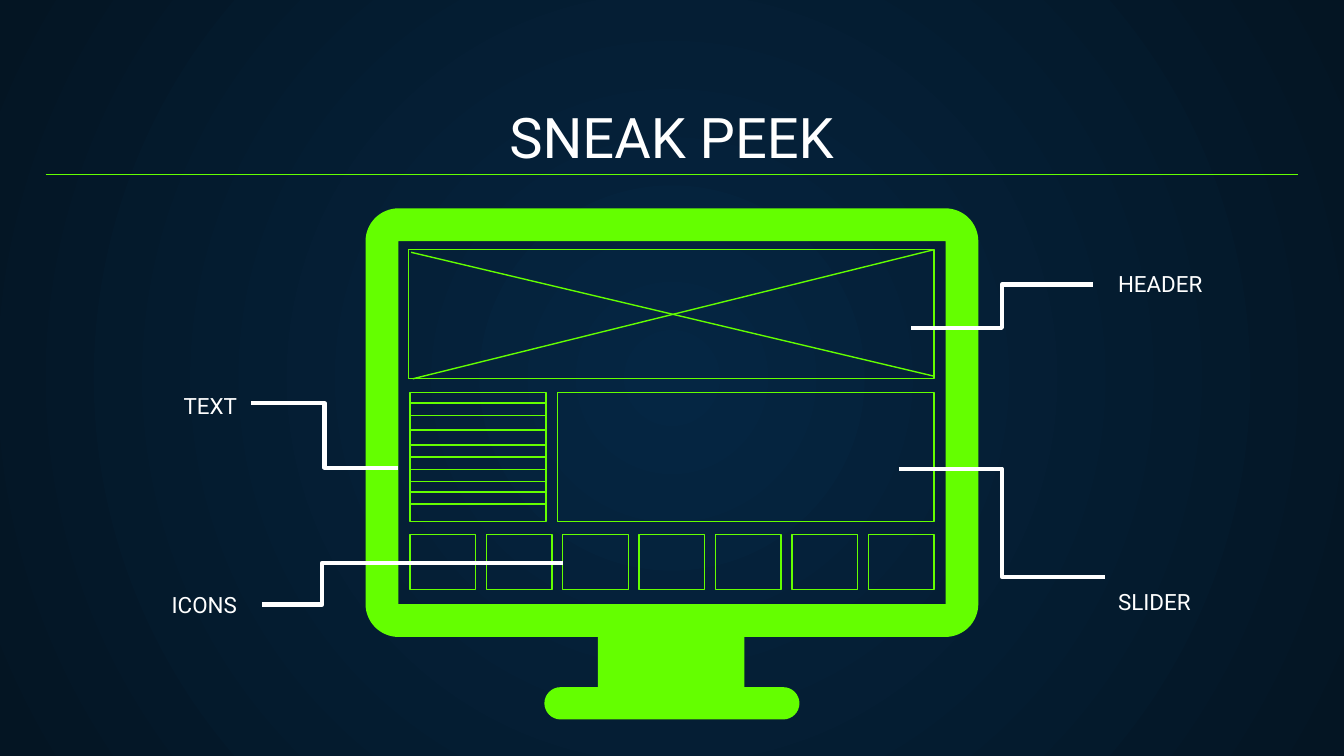
from math import cos, radians, sin

from lxml import etree
from pptx import Presentation
from pptx.dml.color import RGBColor
from pptx.enum.shapes import MSO_CONNECTOR as Connector, MSO_SHAPE as Shape
from pptx.enum.text import MSO_ANCHOR as Anchor, MSO_AUTO_SIZE as AutoSize, PP_ALIGN as Align
from pptx.oxml.ns import qn
from pptx.util import Cm, Pt

COLORS = {"center": "052643", "edge": "041523", "accent": "64FF00", "text": "FFFFFF"}
FONT = "Roboto"
TEXT_LINES = (0.2, 0.43, 0.71, 0.99, 1.22, 1.45, 1.68, 1.88, 2.11)
ICON_COUNT = 7

# text, label position, alignment, line spacing, connector begin, end, bend
CALLOUTS = (
    ("HEADER", (20.88, 4.85), Align.LEFT, 1, (17.22, 6.2), (20.65, 5.38), 0.5),
    ("TEXT", (1.78, 7.16), Align.RIGHT, 1, (4.75, 7.62), (7.52, 8.84), 0.5),
    ("SLIDER", (20.88, 10.36), Align.LEFT, 2, (16.99, 8.86), (20.88, 10.9), 0.5),
    ("ICONS", (1.78, 10.92), Align.RIGHT, 1, (4.95, 11.43), (10.64, 10.64), 0.2),
)


def color(name):
    return RGBColor.from_string(COLORS[name])


def write(shape, text, size=12, align=Align.LEFT, anchor=Anchor.TOP, spacing=1):
    frame = shape.text_frame
    frame.word_wrap = True
    frame.auto_size = AutoSize.NONE
    frame.vertical_anchor = anchor
    frame.margin_left = frame.margin_right = Cm(0.25)
    frame.margin_top = frame.margin_bottom = Cm(0.25)
    paragraph = frame.paragraphs[0]
    paragraph.alignment = align
    paragraph.line_spacing = spacing
    run = paragraph.add_run()
    run.text = text
    run.font.name = FONT
    run.font.size = Pt(size)
    run.font.color.rgb = color("text")


def add_line(slide, begin, end, kind=Connector.STRAIGHT, stroke="accent", width=0.75):
    line = slide.shapes.add_connector(kind, *(Cm(value) for value in begin + end))
    line.line.color.rgb = color(stroke)
    line.line.width = Pt(width)
    etree.SubElement(line._element.spPr, qn("a:effectLst"))
    return line


def add_frame(shapes, left, top, width, height):
    frame = shapes.add_shape(Shape.RECTANGLE, Cm(left), Cm(top), Cm(width), Cm(height))
    frame.shadow.inherit = False
    frame.fill.background()
    frame.line.color.rgb = color("accent")
    frame.line.width = Pt(0.75)


def arc(x, y, radius, start, end, steps=16):
    """Points along an arc; angles run clockwise from the right."""
    angles = [radians(start + (end - start) * i / steps) for i in range(steps + 1)]
    return [(x + radius * cos(angle), y + radius * sin(angle)) for angle in angles]


def paint_background(slide):
    fill = slide.background.fill
    fill.gradient()
    for stop, name, position in zip(fill.gradient_stops, ("center", "edge"), (0, 1)):
        stop.color.rgb = color(name)
        stop.position = position
    linear = slide.element.find(".//" + qn("a:lin"))
    circle = etree.Element(qn("a:path"), {"path": "circle"})
    etree.SubElement(circle, qn("a:fillToRect"), dict.fromkeys("ltrb", "50000"))
    linear.getparent().replace(linear, circle)


def add_title(slide, left, top, width, height):
    title = slide.shapes.title
    title.left, title.top, title.width, title.height = map(Cm, (left, top, width, height))
    write(title, "SNEAK PEEK", size=30, align=Align.CENTER, anchor=Anchor.BOTTOM)


def add_monitor(slide, left, top, width, height):
    bezel, foot = 0.62, 0.305
    body = 8.1
    neck_left, neck_right = 4.39, 7.16
    base_left, base_right = 3.38, 8.2
    base_top = height - 2 * foot
    right, bottom = width - bezel, body - bezel
    outline = [
        *arc(bezel, bezel, bezel, 180, 270),
        *arc(right, bezel, bezel, 270, 360),
        *arc(right, bottom, bezel, 0, 90),
        (neck_right, body), (neck_right, base_top),
        *arc(base_right - foot, height - foot, foot, -90, 90),
        *arc(base_left + foot, height - foot, foot, 90, 270),
        (neck_left, base_top), (neck_left, body),
        *arc(bezel, bottom, bezel, 90, 180),
    ]
    screen = [(bezel, bezel), (bezel, bottom), (right, bottom), (right, bezel)]

    def place(points):
        return [(Cm(left + x), Cm(top + y)) for x, y in points]

    outline, screen = place(outline), place(screen)
    builder = slide.shapes.build_freeform(*outline[0])
    builder.add_line_segments(outline[1:], close=True)
    builder.move_to(*screen[0])
    builder.add_line_segments(screen[1:], close=True)
    monitor = builder.convert_to_shape()
    monitor.shadow.inherit = False
    monitor.fill.solid()
    monitor.fill.fore_color.rgb = color("accent")
    monitor.line.fill.background()


def add_wireframe(slide, left, top, width, height):
    """Page layout on the screen: header, text, slider and a row of icons."""
    row, text_width, slider_width = 2.44, 2.57, 7.11
    icon_width, icon_height = 1.24, 1.04
    right, middle = left + width, top + 2.7
    add_frame(slide.shapes, left, top, width, row)
    add_frame(slide.shapes, left + 0.03, middle, text_width, row)
    add_frame(slide.shapes, right - slider_width, middle, slider_width, row)

    icons = slide.shapes.add_group_shape()
    step = (width - 0.03 - icon_width) / (ICON_COUNT - 1)
    for index in range(ICON_COUNT):
        add_frame(icons.shapes, left + 0.03 + index * step, top + height - icon_height,
                  icon_width, icon_height)

    add_line(slide, (left + 0.05, top + 0.05), (right, top + row - 0.05))
    add_line(slide, (left + 0.08, top + row), (right, top))
    for offset in TEXT_LINES:
        y = middle + offset
        add_line(slide, (left + 0.03, y), (left + 0.03 + text_width, y))


def add_callout(slide, text, position, align, spacing, begin, end, bend):
    label = slide.shapes.add_textbox(*map(Cm, position), Cm(2.95), Cm(0.53))
    write(label, text, align=align, spacing=spacing)
    line = add_line(slide, begin, end, Connector.ELBOW, "text", 2.25)
    adjustments = line._element.spPr.find(".//" + qn("a:avLst"))
    etree.SubElement(adjustments, qn("a:gd"), name="adj1", fmla=f"val {round(bend * 100000)}")


def main():
    presentation = Presentation()
    presentation.slide_width, presentation.slide_height = Cm(25.4), Cm(14.29)
    slide = presentation.slides.add_slide(presentation.slide_layouts[5])
    paint_background(slide)
    add_title(slide, 0.86, 1.78, 23.67, 1.68)
    add_monitor(slide, 6.91, 3.94, 11.58, 9.66)
    add_wireframe(slide, 7.72, 4.72, 9.93, 6.43)
    for callout in CALLOUTS:
        add_callout(slide, *callout)
    add_line(slide, (0.86, 3.3), (24.54, 3.3))
    presentation.save("out.pptx")


if __name__ == "__main__":
    main()
